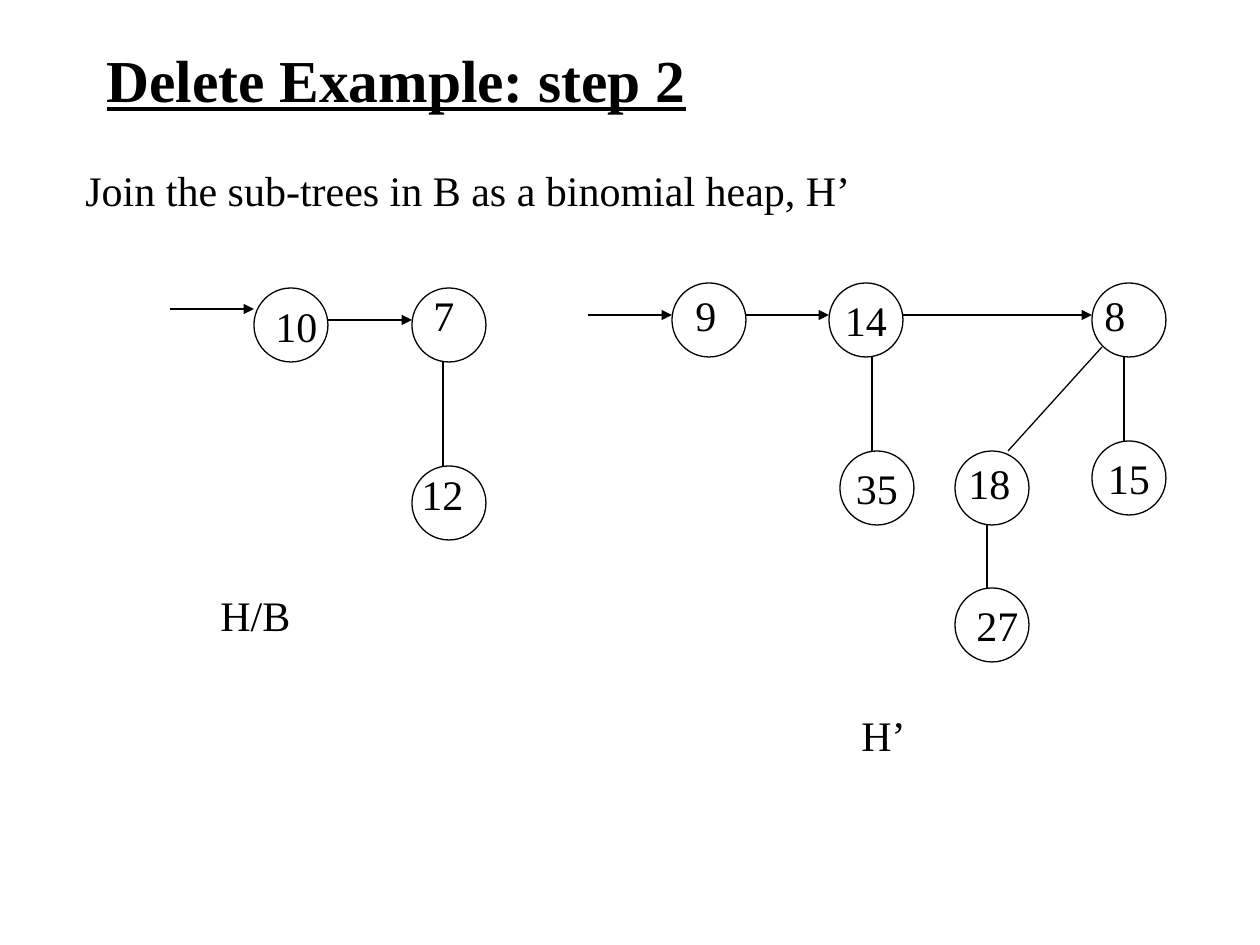
"""Build the slide on the second step of a binomial heap deletion."""
import pptx
import pptx.util
import pptx.dml.color
import pptx.enum.shapes
import pptx.enum.text
import pptx.oxml

SCALE = 914400 / 126
SIZE = 74
INK = "000000"
FACE = "Times New Roman"
TITLE = ("Delete Example: step 2", (94, 42, 850, 73))
NOTES = [
    ("Join the sub-trees in B as a binomial heap, H’", (73, 158, 822, 63)),
    ("H/B", (208, 583, 96, 63)),
    ("H’", (849, 703, 70, 63)),
]
NODES = {
    "10": (254, 288), "7": (412, 288), "12": (412, 466),
    "9": (672, 283), "14": (829, 283), "35": (840, 451),
    "8": (1092, 283), "15": (1092, 441), "18": (955, 451), "27": (955, 588),
}
LABELS = {
    "10": (263, 294), "7": (421, 283), "12": (409, 462), "9": (683, 283),
    "8": (1092, 283), "18": (956, 451), "27": (964, 593),
}
HEADS = [("10", 170, 309), ("9", 588, 315)]
NEXT = [("10", "7", 320), ("9", "14", 315), ("14", "8", 315)]
DOWN = [("7", "12", 443), ("14", "35", 872), ("8", "15", 1124), ("18", "27", 987)]
SLANT = (1102, 347, 1008, 451)


def px(*vals):
    return [pptx.util.Emu(round(v * SCALE)) for v in vals]


def color(code):
    return pptx.dml.color.RGBColor.from_string(code)


def write(frame, text, size=24, align="LEFT", anchor="TOP", wrap=True):
    frame.text = text
    frame.word_wrap = wrap
    frame.auto_size = pptx.enum.text.MSO_AUTO_SIZE.NONE
    frame.vertical_anchor = getattr(pptx.enum.text.MSO_ANCHOR, anchor)
    para = frame.paragraphs[0]
    para.alignment = getattr(pptx.enum.text.PP_ALIGN, align)
    font = para.font
    font.name, font.size = FACE, pptx.util.Pt(size)
    font.color.rgb = color(INK)
    return font


def stroke(item):
    item.line.color.rgb = color(INK)
    item.line.width = pptx.util.Pt(0.74)


def note(text, box):
    write(slide.shapes.add_textbox(*px(*box)).text_frame, text)


def node(text, left, top):
    ring = slide.shapes.add_shape(
        pptx.enum.shapes.MSO_SHAPE.OVAL, *px(left, top, SIZE, SIZE))
    ring.shadow.inherit = False
    ring.fill.background()
    stroke(ring)
    if text not in LABELS:
        write(ring.text_frame, text, align="CENTER", anchor="MIDDLE", wrap=False)


def link(ends, arrow=False):
    edge = slide.shapes.add_connector(
        pptx.enum.shapes.MSO_CONNECTOR.STRAIGHT, *px(*ends))
    stroke(edge)
    props = edge._element.spPr
    if arrow:
        tip = pptx.oxml.ns.qn("a:tailEnd")
        props.get_or_add_ln().append(props.makeelement(tip, {"type": "triangle"}))
    props.append(props.makeelement(pptx.oxml.ns.qn("a:effectLst"), {}))


deck = pptx.Presentation()
deck.slide_width, deck.slide_height = px(1260, 945)
slide = deck.slides.add_slide(deck.slide_layouts[5])

title = slide.shapes.title
title.left, title.top, title.width, title.height = px(*TITLE[1])
font = write(title.text_frame, TITLE[0], size=34, anchor="MIDDLE")
font.bold = font.underline = True

for text, box in NOTES:
    note(text, box)
for text, spot in NODES.items():
    node(text, *spot)
for text, spot in LABELS.items():
    note(text, (*spot, 68 if len(text) > 1 else 46, 63))

for name, left, y in HEADS:
    link((left, y, NODES[name][0], y), arrow=True)
for prev, name, y in NEXT:
    link((NODES[prev][0] + SIZE, y, NODES[name][0], y), arrow=True)
for top, low, x in DOWN:
    link((x, NODES[top][1] + SIZE, x, NODES[low][1]))
link(SLANT)

deck.save("out.pptx")
